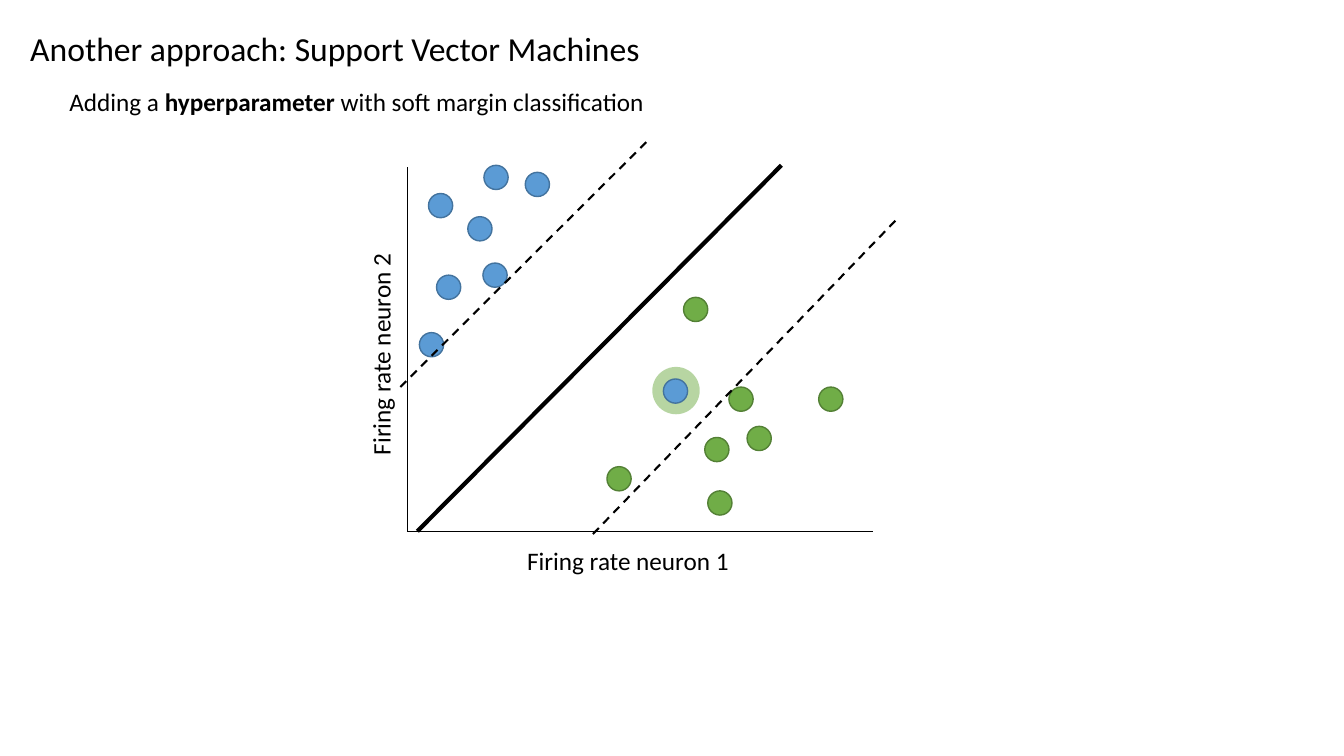
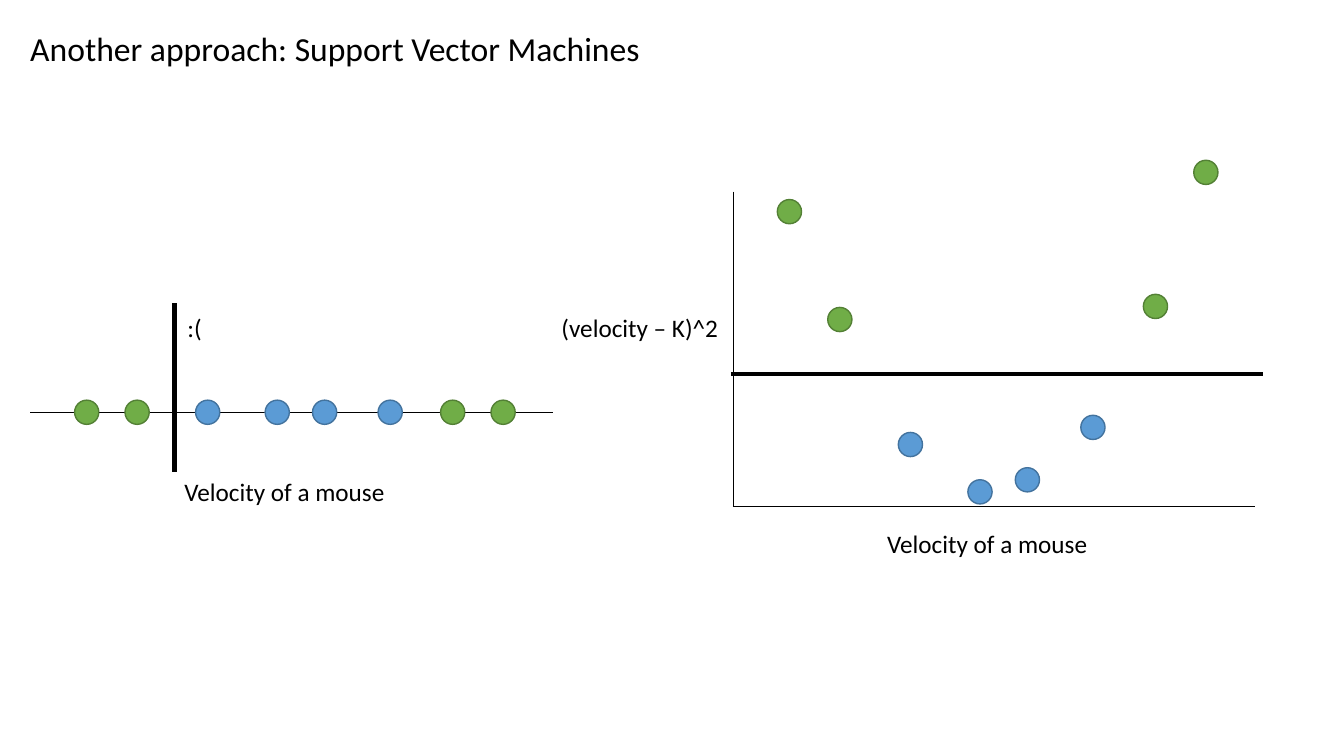
from dataclasses import dataclass
from typing import Any

from lxml import etree
from pptx import Presentation
from pptx.dml.color import RGBColor
from pptx.enum.dml import MSO_LINE
from pptx.enum.shapes import MSO_CONNECTOR, MSO_SHAPE
from pptx.enum.text import MSO_ANCHOR, MSO_AUTO_SIZE, PP_ALIGN
from pptx.oxml.ns import qn
from pptx.util import Inches, Pt

COLORS = {
    "ink": "000000",
    "blue": "5B9BD5",
    "blue_edge": "43739E",
    "green": "70AD47",
    "green_edge": "538035",
}
FONT = "Calibri"
TITLE = "Another approach: Support Vector Machines"
DOT = 0.24
MOUSE_X = {"blue": (1.64, 2.33, 2.8, 3.45), "green": (0.44, 0.94, 4.07, 4.57)}
MOUSE_WIDTH = 5.18


def color(name):
    """Return the named colour."""
    return RGBColor.from_string(COLORS[name])


def style(para, size):
    """Give a paragraph the deck's text style."""
    para.alignment = PP_ALIGN.LEFT
    para.font.name = FONT
    para.font.size = Pt(size)
    para.font.color.rgb = color("ink")


@dataclass
class Region:
    """A part of a slide whose contents are placed from its top left corner."""

    slide: Any
    left: float
    top: float

    def place(self, x, y):
        """Turn an offset in the region into a slide position."""
        return Inches(self.left + x), Inches(self.top + y)

    def disc(self, x, y, size, fill):
        """Draw a filled circle without an outline."""
        disc = self.slide.shapes.add_shape(
            MSO_SHAPE.OVAL, *self.place(x, y), Inches(size), Inches(size))
        disc.shadow.inherit = False
        disc.fill.solid()
        disc.fill.fore_color.rgb = color(fill)
        disc.line.fill.background()
        return disc

    def dots(self, name, points):
        """Draw one class of data points."""
        for x, y in points:
            dot = self.disc(x, y, DOT, name)
            dot.line.color.rgb = color(name + "_edge")
            dot.line.width = Pt(1)

    def halo(self, x, y, size, alpha):
        """Draw a translucent green disc."""
        disc = self.disc(x, y, size, "green")
        tint = disc.fill._xPr.find(".//" + qn("a:srgbClr"))
        etree.SubElement(tint, qn("a:alpha"), val=str(alpha * 1000))

    def line(self, start, end, width=0.5, dash=None):
        """Draw a straight black line."""
        line = self.slide.shapes.add_connector(
            MSO_CONNECTOR.STRAIGHT, *self.place(*start), *self.place(*end))
        line.line.color.rgb = color("ink")
        line.line.width = Pt(width)
        if dash:
            line.line.dash_style = dash
        etree.SubElement(line._element.spPr, qn("a:effectLst"))

    def axes(self, width, height):
        """Draw the two axes of a plot."""
        self.line((0, 0), (0, height))
        self.line((0, height), (width, height))

    def label(self, x, y, width, *runs, turn=0):
        """Write a one-line label; every second run is bold."""
        box = self.slide.shapes.add_textbox(
            *self.place(x, y), Inches(width), Inches(0.4))
        box.rotation = turn
        box.text_frame.word_wrap = False
        para = box.text_frame.paragraphs[0]
        for i, text in enumerate(runs):
            run = para.add_run()
            run.text = text
            if i % 2:
                run.font.bold = True
        style(para, 18)


def add_page(deck):
    """Add a slide with the shared title."""
    slide = deck.slides.add_slide(deck.slide_layouts.get_by_name("Title Only"))
    title = slide.shapes.title
    title.left, title.top = Inches(0.2), Inches(0.23)
    title.width, title.height = Inches(12.32), Inches(0.5)
    frame = title.text_frame
    frame.text = TITLE
    frame.word_wrap = True
    frame.auto_size = MSO_AUTO_SIZE.NONE
    frame.vertical_anchor = MSO_ANCHOR.TOP
    style(frame.paragraphs[0], 24)
    return slide


def draw_margin(slide, left, top):
    """Draw the neuron plot with its soft margin."""
    plot = Region(slide, left, top)
    plot.halo(2.43, 1.98, 0.47, 50)
    plot.dots("blue", [
        (0.6, 0.49), (0.21, 0.26), (1.17, 0.05), (0.29, 1.07),
        (0.76, -0.02), (0.12, 1.64), (0.75, 0.95), (2.54, 2.1)])
    plot.dots("green", [
        (3.19, 2.18), (3.37, 2.57), (2.95, 2.68), (4.08, 2.18),
        (2.98, 3.21), (1.98, 2.97), (2.74, 1.29)])
    plot.axes(4.62, 3.61)
    plot.label(1.09, 3.7, 2.23, "Firing rate neuron 1")
    plot.label(-1.38, 1.64, 2.23, "Firing rate neuron 2", turn=270)
    plot.line((3.71, -0.02), (0.1, 3.61), 3)
    plot.line((4.84, 0.53), (1.83, 3.65), 1.5, MSO_LINE.DASH)
    plot.line((2.37, -0.25), (-0.07, 2.18), 1.5, MSO_LINE.DASH)


def draw_track(slide, left, top):
    """Draw the mouse velocities on one axis."""
    plot = Region(slide, left, top)
    plot.line((0, 1.08), (MOUSE_WIDTH, 1.08))
    for name, xs in MOUSE_X.items():
        plot.dots(name, [(x, 0.96) for x in xs])
    plot.line((1.43, 0), (1.43, 1.67), 3)
    plot.label(1.43, 1.67, 2.21, "Velocity of a mouse")
    plot.label(1.46, 0.04, 0.35, ":(")


def draw_lift(slide, left, top):
    """Draw the velocities against their squared distance from K."""
    plot = Region(slide, left, top)
    heights = {"blue": (2.39, 2.86, 2.74, 2.22),
               "green": (0.08, 1.15, 1.02, -0.31)}
    for name, xs in MOUSE_X.items():
        plot.dots(name, zip(xs, heights[name]))
    plot.line((-0.02, 1.81), (5.26, 1.81), 3)
    plot.axes(MOUSE_WIDTH, 3.12)
    plot.label(1.43, 3.29, 2.21, "Velocity of a mouse")
    plot.label(-1.8, 1.15, 1.78, "(velocity – K)^2")


def main():
    """Build and save the deck."""
    deck = Presentation()
    deck.slide_width, deck.slide_height = Inches(13.33), Inches(7.5)
    soft = add_page(deck)
    Region(soft, 0.59, 0.81).label(
        0, 0, 5.96, "Adding a ", "hyperparameter",
        " with soft margin classification")
    draw_margin(soft, 4.04, 1.66)
    mouse = add_page(deck)
    draw_track(mouse, 0.3, 3.01)
    draw_lift(mouse, 7.27, 1.9)
    deck.save("out.pptx")


if __name__ == "__main__":
    main()
